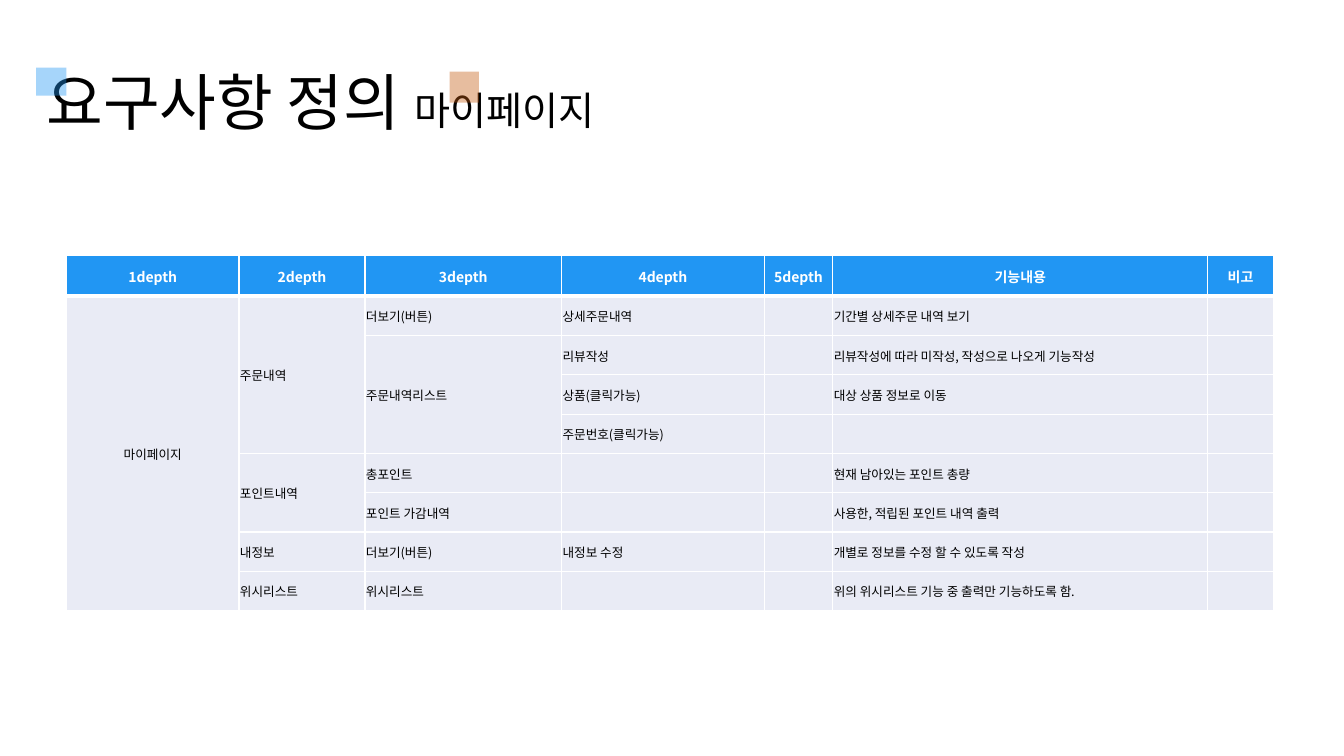
from dataclasses import dataclass

from lxml import etree
from pptx import Presentation
from pptx.dml.color import RGBColor
from pptx.enum.shapes import MSO_SHAPE
from pptx.enum.text import MSO_ANCHOR, MSO_AUTO_SIZE, PP_ALIGN
from pptx.oxml.ns import qn
from pptx.util import Inches, Pt

RECT = MSO_SHAPE.RECTANGLE
MIDDLE = MSO_ANCHOR.MIDDLE
NO_FIT = MSO_AUTO_SIZE.NONE
LEFT, CENTER = PP_ALIGN.LEFT, PP_ALIGN.CENTER


@dataclass(frozen=True)
class Theme:
    font: str = "Noto Sans CJK KR"
    black: str = "000000"
    white: str = "FFFFFF"
    blue: str = "2196F3"
    orange: str = "C55A11"
    row_fill: str = "E9EBF5"
    title: int = 44
    subtitle: int = 28
    header: int = 10
    body: int = 9


THEME = Theme()

TITLE_RUNS = [("요구사항 정의 ", THEME.title), ("마이페이지", THEME.subtitle)]
ACCENTS = [
    ((0.36, 0.67, 0.3, 0.28), THEME.blue),
    ((4.46, 0.71, 0.29, 0.31), THEME.orange),
]
ACCENT_ALPHA = 40

ROWS = [
    ("1depth", "2depth", "3depth", "4depth", "5depth", "기능내용", "비고"),
    ("마이페이지", "주문내역", "더보기(버튼)", "상세주문내역", "", "기간별 상세주문 내역 보기", ""),
    ("", "", "주문내역리스트", "리뷰작성", "", "리뷰작성에 따라 미작성, 작성으로 나오게 기능작성", ""),
    ("", "", "", "상품(클릭가능)", "", "대상 상품 정보로 이동", ""),
    ("", "", "", "주문번호(클릭가능)", "", "", ""),
    ("", "포인트내역", "총포인트", "", "", "현재 남아있는 포인트 총량", ""),
    ("", "", "포인트 가감내역", "", "", "사용한, 적립된 포인트 내역 출력", ""),
    ("", "내정보", "더보기(버튼)", "내정보 수정", "", "개별로 정보를 수정 할 수 있도록 작성", ""),
    ("", "위시리스트", "위시리스트", "", "", "위의 위시리스트 기능 중 출력만 기능하도록 함.", ""),
]
COL_WIDTHS = [1.71, 1.25, 1.95, 2.01, 0.68, 3.72, 0.65]
HEADER_HEIGHT, ROW_HEIGHT = 0.41, 0.39
MERGES = [(1, 0, 8), (1, 1, 4), (2, 2, 3), (5, 1, 2)]


def set_font(p, color, size=None, bold=None):
    font = p.font
    font.name = THEME.font
    font.color.rgb = RGBColor.from_string(color)
    font.bold = bold
    if size:
        font.size = Pt(size)
    latin = p._p.pPr.find(qn("a:defRPr")).find(qn("a:latin"))
    ea = etree.Element(qn("a:ea"), typeface=THEME.font)
    latin.addnext(ea)


def set_borders(cell, bottom):
    tcPr = cell._tc.get_or_add_tcPr()
    for side, width in (("L", 1), ("R", 1), ("T", 1), ("B", bottom)):
        ln = etree.SubElement(tcPr, qn(f"a:ln{side}"), w=str(Pt(width)))
        fill = etree.SubElement(ln, qn("a:solidFill"))
        etree.SubElement(fill, qn("a:srgbClr"), val=THEME.white)


def add_title(s):
    sp = s.shapes.title
    sp.left, sp.top, sp.width, sp.height = map(Inches, (0.36, 0.32, 11.5, 1.45))
    tf = sp.text_frame
    tf.word_wrap, tf.auto_size, tf.vertical_anchor = True, NO_FIT, MIDDLE
    p = tf.paragraphs[0]
    p.alignment, p.line_spacing = LEFT, 0.9
    set_font(p, THEME.black)
    for text, size in TITLE_RUNS:
        r = p.add_run()
        r.text, r.font.size = text, Pt(size)


def add_accent(s, box, color):
    sp = s.shapes.add_shape(RECT, *map(Inches, box))
    sp.shadow.inherit = False
    sp.line.fill.background()
    sp.fill.solid()
    sp.fill.fore_color.rgb = RGBColor.from_string(color)
    clr = sp._element.spPr.find(qn("a:solidFill")).find(qn("a:srgbClr"))
    etree.SubElement(clr, qn("a:alpha"), val=str(ACCENT_ALPHA * 1000))


def fill_cell(cell, text, row, col):
    header = row == 0
    set_borders(cell, 3 if header else 1)
    cell.fill.solid()
    cell.fill.fore_color.rgb = RGBColor.from_string(THEME.blue if header else THEME.row_fill)
    cell.margin_left = cell.margin_right = cell.margin_top = Inches(0.01)
    cell.margin_bottom = 0
    cell.vertical_anchor = MIDDLE
    p = cell.text_frame.paragraphs[0]
    if text:
        p.text = text
    p.alignment = CENTER if header or col == 0 else LEFT
    if header:
        set_font(p, THEME.white, THEME.header, True)
    else:
        set_font(p, THEME.black, THEME.body, False)


def add_requirements(s):
    heights = [HEADER_HEIGHT] + [ROW_HEIGHT] * (len(ROWS) - 1)
    box = (0.66, 2.53, sum(COL_WIDTHS), sum(heights))
    table = s.shapes.add_table(len(ROWS), len(COL_WIDTHS), *map(Inches, box)).table
    table.horz_banding = False
    for column, width in zip(table.columns, COL_WIDTHS):
        column.width = Inches(width)
    for row, height in zip(table.rows, heights):
        row.height = Inches(height)
    for i, texts in enumerate(ROWS):
        for j, text in enumerate(texts):
            fill_cell(table.cell(i, j), text, i, j)
    for row, col, span in MERGES:
        table.cell(row, col).merge(table.cell(row + span - 1, col))


def main():
    prs = Presentation()
    prs.slide_width, prs.slide_height = Inches(13.33), Inches(7.5)
    s = prs.slides.add_slide(prs.slide_layouts[5])
    add_title(s)
    for box, color in ACCENTS:
        add_accent(s, box, color)
    add_requirements(s)
    prs.save("out.pptx")


if __name__ == "__main__":
    main()
